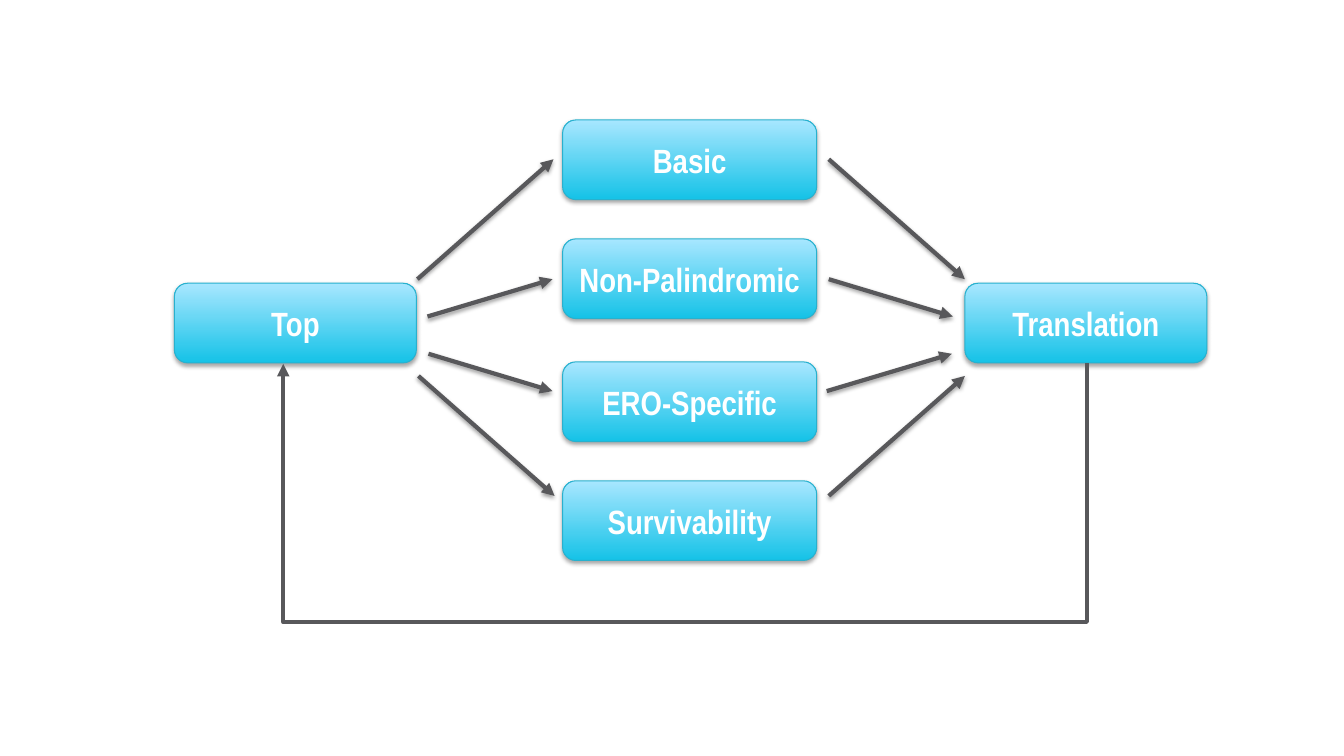
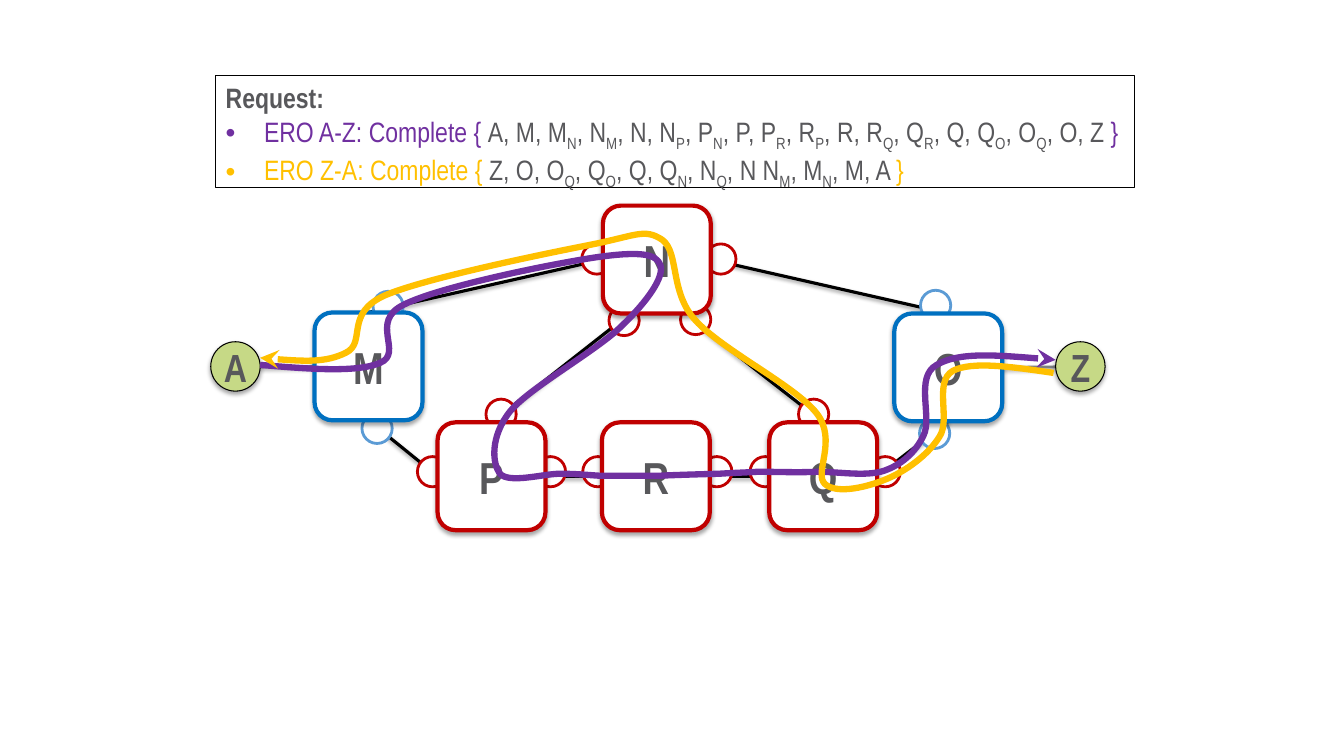
from dataclasses import dataclass
from typing import NamedTuple, Optional, Union

from lxml.etree import SubElement
from pptx import Presentation
from pptx.dml.color import RGBColor
from pptx.enum.shapes import MSO_CONNECTOR as Wire, MSO_SHAPE as Preset
from pptx.enum.text import MSO_ANCHOR as Anchor, MSO_AUTO_SIZE as AutoSize, PP_ALIGN as Align
from pptx.oxml.ns import qn
from pptx.util import Inches, Pt

FONT = "Arial Narrow"
WHITE, BLACK, GREY = "FFFFFF", "000000", "58585B"
RED, BLUE, LIGHT_BLUE, GREEN, ROUTE_GREY = "C00000", "0070C0", "5B9BD5", "C6D986", "7C7F82"
PURPLE, GOLD = "7030A0", "FFC000"
STEP_TOP, STEP_BOTTOM, STEP_EDGE = "A8E7FF", "15C2E7", "28B1CE"
TOP, LEFT, BOTTOM, RIGHT = range(4)


class Point(NamedTuple):
    x: float
    y: float


class Joint(NamedTuple):
    node: str
    side: int


class Arrow(NamedTuple):
    start: Point
    end: Point


@dataclass
class Box:
    label: str
    x: float
    y: float
    width: float
    height: float
    edge: str = STEP_EDGE
    edge_width: float = 0.75
    fill: Optional[str] = None
    preset: Preset = Preset.ROUNDED_RECTANGLE
    size: float = 24
    ink: str = WHITE
    shadow: bool = True


@dataclass
class Link:
    start: Union[Joint, Point]
    end: Union[Joint, Point]
    color: str = BLACK
    width: float = 2.25


@dataclass
class Request:
    title: str
    hops: str
    color: str


@dataclass
class Route:
    color: str
    points: list


def rgb(value: str) -> RGBColor:
    return RGBColor.from_string(value)


def add_shadow(effects, alpha: int, distance: float) -> None:
    shade = SubElement(effects, qn("a:outerShdw"), blurRad=str(Pt(3.1)), dist=str(Pt(distance)),
                       dir="5400000", rotWithShape="0")
    color = SubElement(shade, qn("a:srgbClr"), val=BLACK)
    SubElement(color, qn("a:alpha"), val=str(alpha * 1000))


def style_line(item, color: str, width: float, head: str = "") -> None:
    item.line.color.rgb = rgb(color)
    item.line.width = Pt(width)
    if head:
        SubElement(item._element.spPr.find(qn("a:ln")), qn("a:tailEnd"), type=head)


def add_run(paragraph, text: str, size: float, color: str, bold: bool = False, subscript: bool = False) -> None:
    run = paragraph.add_run()
    run.text = text
    font = run.font
    font.name, font.size, font.bold = FONT, Pt(size), bold
    font.color.rgb = rgb(color)
    if subscript:
        run._r.get_or_add_rPr().set("baseline", "-25000")


def add_box(slide, box: Box):
    shape = slide.shapes.add_shape(box.preset, Inches(box.x), Inches(box.y), Inches(box.width), Inches(box.height))
    shape.shadow.inherit = False
    if box.fill:
        shape.fill.solid()
        shape.fill.fore_color.rgb = rgb(box.fill)
    else:
        shape.fill.gradient()
        shape.fill.gradient_angle = 90
        for stop, color in zip(shape.fill.gradient_stops, (STEP_BOTTOM, STEP_TOP)):
            stop.color.rgb = rgb(color)
    style_line(shape, box.edge, box.edge_width)
    if box.shadow:
        add_shadow(shape._element.spPr.find(qn("a:effectLst")), 35, 1.8)
    if box.label:
        frame = shape.text_frame
        frame.margin_left = frame.margin_right = frame.margin_top = frame.margin_bottom = 0
        frame.vertical_anchor = Anchor.MIDDLE
        frame.word_wrap = True
        frame.paragraphs[0].alignment = Align.CENTER
        add_run(frame.paragraphs[0], box.label, box.size, box.ink, bold=True)
    return shape


def add_line(slide, start: Point, end: Point, color: str, width: float, head: str = "",
             kind: Wire = Wire.STRAIGHT, shadow: bool = True):
    line = slide.shapes.add_connector(kind, Inches(start.x), Inches(start.y), Inches(end.x), Inches(end.y))
    style_line(line, color, width, head)
    effects = SubElement(line._element.spPr, qn("a:effectLst"))
    if shadow:
        add_shadow(effects, 38, 1.6)
    return line


def add_return_arrow(slide, start: Point, end_x: float, depth: float) -> None:
    thickness, span = 0.01, start.x - end_x
    left = (start.x + end_x - thickness) / 2
    top = start.y + (thickness - span) / 2
    arrow = add_line(slide, Point(left, top), Point(left + thickness, top + span), GREY, 3,
                     "triangle", Wire.ELBOW, shadow=False)
    properties = arrow._element.spPr
    properties.find(qn("a:xfrm")).set("rot", "5400000")
    adjustments = properties.find(qn("a:prstGeom")).find(qn("a:avLst"))
    SubElement(adjustments, qn("a:gd"), name="adj1", fmla=f"val {round(depth / thickness * 100000)}")


def add_link(slide, link: Link, nodes: dict) -> None:
    origin = Point(0, 0)
    start, end = (origin if isinstance(tip, Joint) else tip for tip in (link.start, link.end))
    line = add_line(slide, start, end, link.color, link.width)
    if isinstance(link.start, Joint):
        line.begin_connect(nodes[link.start.node], link.start.side)
    if isinstance(link.end, Joint):
        line.end_connect(nodes[link.end.node], link.end.side)
    slide.shapes._spTree.insert(2, line._element)


def add_route(slide, route: Route) -> None:
    points = [(Inches(x), Inches(y)) for x, y in route.points]
    builder = slide.shapes.build_freeform(*points[0])
    builder.add_line_segments(points[1:], close=False)
    curve = builder.convert_to_shape()
    curve.shadow.inherit = False
    curve.fill.background()
    style_line(curve, route.color, 4.5, "stealth")
    outline = next(curve._element.iter(qn("a:path")))
    segments = outline.findall(qn("a:lnTo"))
    for index, segment in enumerate(segments):
        if index % 3 == 0:
            bend = SubElement(outline, qn("a:cubicBezTo"))
        bend.append(segment[0])
        outline.remove(segment)


def add_requests(slide, requests: list) -> None:
    panel = slide.shapes.add_shape(Preset.RECTANGLE, Inches(2.14), Inches(0.75), Inches(9.11), Inches(1.11))
    panel.shadow.inherit = False
    panel.fill.background()
    style_line(panel, BLACK, 0.75)
    frame = panel.text_frame
    frame.word_wrap = True
    frame.auto_size = AutoSize.SHAPE_TO_FIT_TEXT
    frame.vertical_anchor = Anchor.TOP
    heading = frame.paragraphs[0]
    heading.alignment = Align.LEFT
    add_run(heading, "Request:", 20, GREY, bold=True)
    for request in requests:
        entry = frame.add_paragraph()
        entry.alignment = Align.LEFT
        properties = entry._p.get_or_add_pPr()
        properties.set("marL", str(Inches(0.38)))
        properties.set("indent", str(-Inches(0.38)))
        SubElement(properties, qn("a:buFont"), typeface="Arial")
        SubElement(properties, qn("a:buChar"), char="•")
        add_run(entry, request.title + " { ", 20, request.color)
        first, *rest = request.hops.split("_")
        add_run(entry, first, 20, GREY)
        for piece in rest:
            add_run(entry, piece[0], 20, GREY, subscript=True)
            add_run(entry, piece[1:], 20, GREY)
        add_run(entry, "}", 20, request.color)


def build_flow(slide) -> None:
    steps = [Box("Top", 1.73, 2.81, 2.4, 0.79), Box("Translation", 9.57, 2.81, 2.4, 0.79)]
    middle = {"Basic": 1.19, "Non-Palindromic": 2.37, "ERO-Specific": 3.59, "Survivability": 4.77}
    steps += [Box(label, 5.58, y, 2.52, 0.79) for label, y in middle.items()]
    for step in steps:
        add_box(slide, step)
    arrows = [
        Arrow(Point(4.14, 2.77), Point(5.49, 1.58)), Arrow(Point(4.24, 3.14), Point(5.48, 2.77)),
        Arrow(Point(4.25, 3.51), Point(5.48, 3.88)), Arrow(Point(4.15, 3.73), Point(5.5, 4.92)),
        Arrow(Point(8.22, 1.58), Point(9.57, 2.77)), Arrow(Point(8.22, 2.77), Point(9.45, 3.14)),
        Arrow(Point(8.2, 3.88), Point(9.44, 3.51)), Arrow(Point(8.22, 4.92), Point(9.57, 3.73)),
    ]
    for arrow in arrows:
        add_line(slide, arrow.start, arrow.end, GREY, 3, "triangle")
    add_return_arrow(slide, Point(10.78, 3.6), 2.81, 2.61)


def build_network(slide) -> None:
    ports = {
        RED: [(5.77, 2.42), (7, 2.42), (6.04, 3.03), (6.75, 3.02), (4.82, 3.96), (7.92, 3.96)]
        + [(x, 4.53) for x in (4.14, 5.31, 5.78, 6.96, 7.44, 8.63)],
        LIGHT_BLUE: [(3.7, 2.89), (9.13, 2.88), (3.59, 4.1), (9.12, 4.15)],
    }
    for color, corners in ports.items():
        for x, y in corners:
            add_box(slide, Box("", x, y, 0.3, 0.3, color, 2, WHITE, Preset.OVAL, shadow=False))

    routers = [("M", 3.12, 3.1, BLUE), ("O", 8.87, 3.11, BLUE), ("N", 5.98, 2.04, RED),
               ("P", 4.34, 4.19, RED), ("R", 5.97, 4.19, RED), ("Q", 7.63, 4.19, RED)]
    nodes = {label: add_box(slide, Box(label, x, y, 1.07, 1.07, color, 3, WHITE, size=32, ink=GREY))
             for label, x, y, color in routers}
    for label, x in (("A", 2.09), ("Z", 10.47)):
        add_box(slide, Box(label, x, 3.39, 0.49, 0.49, BLACK, 0.75, GREEN, Preset.OVAL, 28, GREY))

    links = [
        Link(Joint("O", TOP), Joint("N", RIGHT)), Link(Joint("N", LEFT), Joint("M", TOP)),
        Link(Joint("P", LEFT), Joint("M", BOTTOM)), Link(Joint("O", BOTTOM), Joint("Q", RIGHT)),
        Link(Joint("R", LEFT), Joint("P", RIGHT)), Link(Joint("Q", LEFT), Joint("R", RIGHT)),
        Link(Point(6.25, 3.11), Joint("P", TOP)), Link(Point(6.78, 3.11), Joint("Q", TOP)),
        Link(Joint("O", RIGHT), Point(10.47, 3.64), ROUTE_GREY, 2),
        Link(Point(2.58, 3.64), Joint("M", LEFT), ROUTE_GREY, 2),
    ]
    for link in links:
        add_link(slide, link, nodes)

    add_requests(slide, [
        Request("ERO A-Z: Complete",
                "A, M, M_N, N_M, N, N_P, P_N, P, P_R, R_P, R, R_Q, Q_R, Q, Q_O, O_Q, O, Z ", PURPLE),
        Request("ERO Z-A: Complete", "Z, O, O_Q, Q_O, Q, Q_N, N_Q, N N_M, M_N, M, A ", GOLD),
    ])

    routes = [
        Route(PURPLE, [
            (2.58, 3.62), (3.06, 3.66), (3.53, 3.7), (3.77, 3.6), (4.01, 3.5), (3.65, 3.19), (4.01, 3.02),
            (4.37, 2.84), (5.51, 2.61), (5.93, 2.55), (6.36, 2.49), (6.51, 2.52), (6.55, 2.63),
            (6.59, 2.75), (6.42, 2.99), (6.17, 3.23), (5.92, 3.48), (5.26, 3.84), (5.06, 4.08),
            (4.86, 4.33), (4.88, 4.6), (4.96, 4.7), (5.05, 4.8), (5.39, 4.7), (5.55, 4.7),
            (5.72, 4.7), (5.79, 4.71), (5.95, 4.72), (6.11, 4.72), (6.34, 4.72), (6.54, 4.72),
            (6.73, 4.71), (7.13, 4.7), (7.13, 4.7), (7.29, 4.69), (7.36, 4.69), (7.52, 4.68),
            (7.69, 4.68), (7.91, 4.69), (8.11, 4.68), (8.32, 4.68), (8.59, 4.73), (8.77, 4.67),
            (8.94, 4.61), (9.08, 4.49), (9.16, 4.32), (9.25, 4.14), (9.07, 3.74), (9.29, 3.62),
            (9.51, 3.49), (9.99, 3.53), (10.47, 3.57)]),
        Route(GOLD, [
            (10.45, 3.7), (10.04, 3.64), (9.64, 3.58), (9.45, 3.68), (9.26, 3.79), (9.43, 4.16), (9.32, 4.33),
            (9.21, 4.51), (8.99, 4.67), (8.8, 4.75), (8.61, 4.83), (8.3, 4.91), (8.18, 4.8),
            (8.07, 4.69), (8.31, 4.37), (8.1, 4.1), (7.89, 3.83), (7.16, 3.47), (6.9, 3.18),
            (6.64, 2.9), (6.74, 2.51), (6.57, 2.38), (6.39, 2.26), (6.31, 2.34), (5.85, 2.43),
            (5.39, 2.52), (4.22, 2.76), (3.82, 2.93), (3.41, 3.11), (3.64, 3.4), (3.43, 3.5),
            (3.23, 3.6), (2.91, 3.58), (2.58, 3.55)]),
    ]
    for route in routes:
        add_route(slide, route)


def main() -> None:
    deck = Presentation()
    deck.slide_width, deck.slide_height = Inches(13.33), Inches(7.5)
    blank = deck.slide_layouts[6]
    for build in (build_flow, build_network):
        build(deck.slides.add_slide(blank))
    deck.save("out.pptx")


if __name__ == "__main__":
    main()
